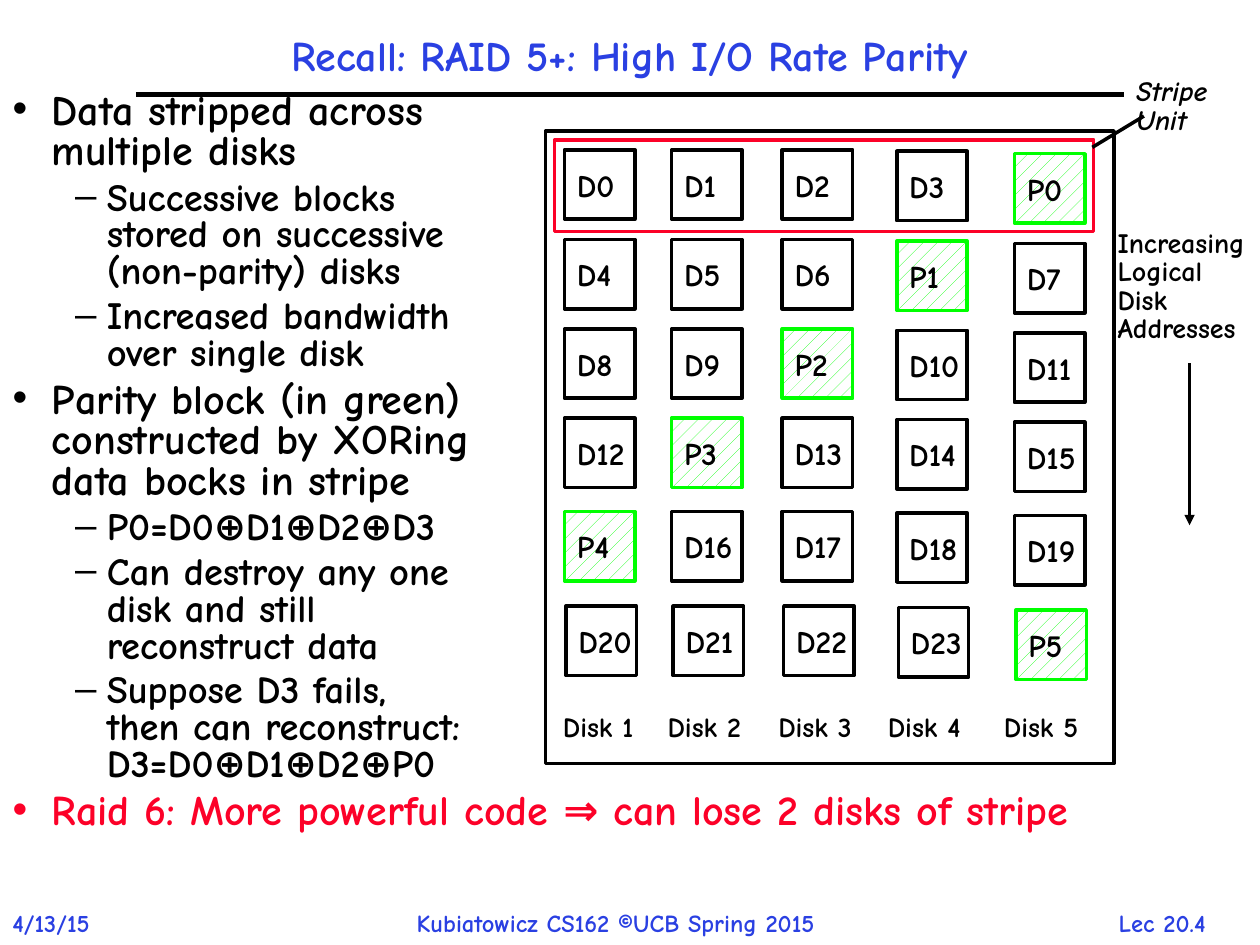
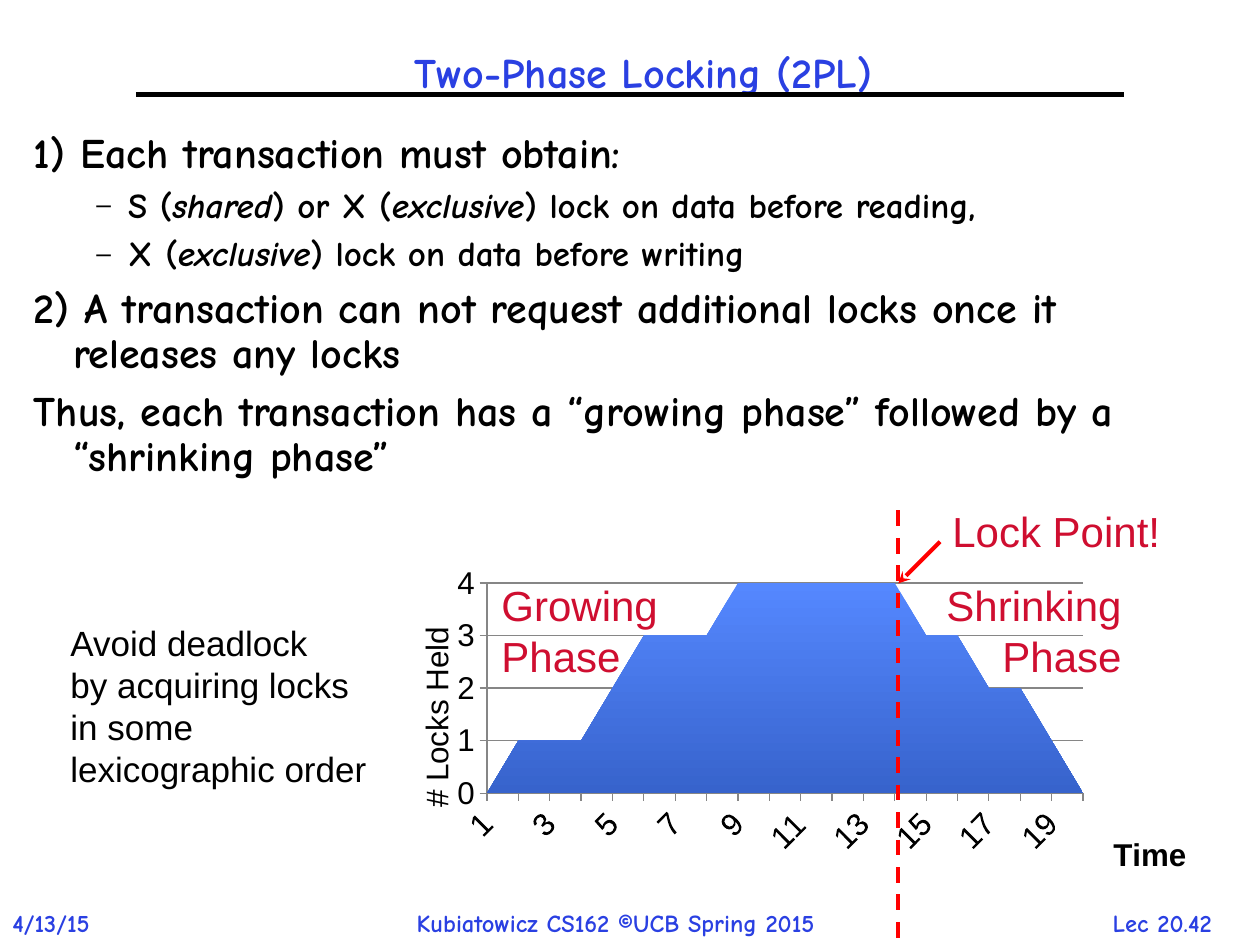
from copy import deepcopy

from lxml import etree
from pptx import Presentation
from pptx import util as u
from pptx.chart.data import CategoryChartData
from pptx.dml.color import RGBColor
from pptx.enum import chart as charts, dml, shapes, text
from pptx.oxml.ns import qn

BLUE = RGBColor(0x2A, 0x40, 0xE2)
BLACK = RGBColor(0, 0, 0)
WHITE = RGBColor(255, 255, 255)
RED = RGBColor(0xFC, 0x01, 0x28)
GREEN = RGBColor(0, 255, 0)
CRIMSON = RGBColor(0xCF, 0x0E, 0x30)
PURE_RED = RGBColor(255, 0, 0)
GRID_GREY = RGBColor(0x86, 0x86, 0x86)
AREA_TOP = RGBColor(0x55, 0x88, 0xFF)
AREA_BOTTOM = RGBColor(0x37, 0x63, 0xCC)
COMIC = "Comic Neue"
ARIAL = "Arial"
LEFT, CENTER, RIGHT = text.PP_ALIGN.LEFT, text.PP_ALIGN.CENTER, text.PP_ALIGN.RIGHT


def cm(*lengths):
    return [u.Cm(length) for length in lengths]


def sub(parent, tag, **attributes):
    return etree.SubElement(parent, qn(tag), attributes)


def style_font(font, size=18, color=BLACK, name=COMIC, bold=False, italic=False):
    font.size, font.name, font.bold, font.italic = u.Pt(size), name, bold, italic
    font.color.rgb = color


def write(paragraph, words, align=LEFT, spacing=None, italic=False, **font):
    """Asterisks switch italics; line feeds become line breaks."""
    paragraph.alignment = align
    if spacing:
        paragraph.line_spacing = spacing
    for part_number, part in enumerate(words.split("*")):
        for line_number, line in enumerate(part.split("\n")):
            if line_number:
                paragraph.add_line_break()
            run = paragraph.add_run()
            run.text = line
            style_font(run.font, italic=italic or part_number % 2 == 1, **font)
    for line_break in paragraph._p.findall(qn("a:br")):
        line_break.append(deepcopy(run._r.rPr))


def set_layout(parent, **numbers):
    for old in parent.findall(qn("c:layout")):
        parent.remove(old)
    layout = etree.Element(qn("c:layout"))
    manual = sub(layout, "c:manualLayout")
    if "w" in numbers:
        sub(manual, "c:layoutTarget", val="inner")
    sub(manual, "c:xMode", val="edge")
    sub(manual, "c:yMode", val="edge")
    for key, number in numbers.items():
        sub(manual, f"c:{key}", val=str(number))
    return layout


class Deck:
    def __init__(self):
        self.presentation = Presentation()
        self.presentation.slide_width, self.presentation.slide_height = cm(25.4, 19.05)
        self.slide = None

    def start(self, title, title_box, lecture):
        self.slide = self.presentation.slides.add_slide(self.presentation.slide_layouts[1])
        footer = dict(size=14, color=BLUE, bold=True)
        self.label((21.74, 18.19, 3.38, 0.84), [lecture], align=CENTER, **footer)
        self.label((0, 18.19, 2.54, 0.86), ["4/13/15"], **footer)
        self.label((8.15, 18.19, 9.83, 0.86), ["Kubiatowicz CS162 ©UCB Spring 2015"], **footer)
        self.line((2.74, 1.9, 22.66, 1.9), width=3)
        frame = self.fill_placeholder(self.slide.shapes.title, title_box)
        frame.vertical_anchor = text.MSO_ANCHOR.MIDDLE
        write(frame.paragraphs[0], title, align=CENTER, spacing=0.9, size=24, color=BLUE, bold=True)

    def fill_placeholder(self, shape, box):
        shape.left, shape.top, shape.width, shape.height = cm(*box)
        frame = shape.text_frame
        frame.word_wrap = True
        frame.auto_size = text.MSO_AUTO_SIZE.NONE
        return frame

    def body(self, box, items, bullets, sizes, spacing, gap, bullet_percent=100):
        frame = self.fill_placeholder(self.slide.placeholders[1], box)
        for number, (level, words, color) in enumerate(items):
            paragraph = frame.add_paragraph() if number else frame.paragraphs[0]
            paragraph.level = level
            properties = paragraph._p.get_or_add_pPr()
            margin, hanging = ((0.79, 0.79), (1.9, 0.64))[level]
            properties.set("marL", str(u.Cm(margin)))
            properties.set("indent", str(-u.Cm(hanging)))
            if bullets[level]:
                sub(properties, "a:buSzPct", val=str(bullet_percent * 1000))
                sub(properties, "a:buChar", char=bullets[level])
            else:
                sub(properties, "a:buNone")
            paragraph.space_before = u.Pt(gap * sizes[level] if number else 0)
            write(paragraph, words, spacing=spacing, size=sizes[level], color=color, bold=True)

    def label(self, box, lines, **style):
        frame = self.slide.shapes.add_textbox(*cm(*box)).text_frame
        frame.word_wrap = False
        frame.auto_size = text.MSO_AUTO_SIZE.SHAPE_TO_FIT_TEXT
        for number, words in enumerate(lines):
            write(frame.add_paragraph() if number else frame.paragraphs[0], words, **style)

    def rectangle(self, box, color=BLACK, words=None, patterned=False):
        shape = self.slide.shapes.add_shape(shapes.MSO_SHAPE.RECTANGLE, *cm(*box))
        shape.shadow.inherit = False
        shape.line.color.rgb, shape.line.width = color, u.Pt(2)
        if patterned:
            shape.fill.patterned()
            shape.fill.pattern = dml.MSO_PATTERN.PERCENT_10
            shape.fill.fore_color.rgb, shape.fill.back_color.rgb = GREEN, WHITE
        else:
            shape.fill.background()
        if words:
            frame = shape.text_frame
            frame.word_wrap = False
            frame.vertical_anchor = text.MSO_ANCHOR.MIDDLE
            write(frame.paragraphs[0], words, size=18, bold=True)

    def line(self, ends, color=BLACK, width=2, dashed=False, arrow=None):
        connector = self.slide.shapes.add_connector(shapes.MSO_CONNECTOR.STRAIGHT, *cm(*ends))
        connector.line.color.rgb, connector.line.width = color, u.Pt(width)
        if dashed:
            connector.line.dash_style = dml.MSO_LINE.DASH
        if arrow:
            sub(connector.line._get_or_add_ln(), "a:tailEnd", type=arrow)
        sub(connector._element.spPr, "a:effectLst")

    def area_chart(self, box, values, titles, plot):
        data = CategoryChartData()
        data.categories = [str(number + 1) for number in range(len(values))]
        data.add_series("Series 1", values)
        frame = self.slide.shapes.add_chart(charts.XL_CHART_TYPE.AREA, *cm(*box), data)
        chart = frame.chart
        chart.has_legend = chart.has_title = False
        style_font(chart.font, name=ARIAL)
        chart.plots[0].vary_by_categories = False
        fill = chart.plots[0].series[0].format.fill
        fill.gradient()
        fill.gradient_angle = 270
        for stop, color in zip(fill.gradient_stops, (AREA_TOP, AREA_BOTTOM)):
            stop.color.rgb = color

        category, value = chart.category_axis, chart.value_axis
        for axis, (words, bold, x, y) in zip((category, value), titles):
            axis.major_tick_mark = charts.XL_TICK_MARK.OUTSIDE
            axis.minor_tick_mark = charts.XL_TICK_MARK.NONE
            axis.format.line.color.rgb = GRID_GREY
            style_font(axis.tick_labels.font, name=ARIAL)
            write(axis.axis_title.text_frame.paragraphs[0], words, align=CENTER, name=ARIAL, bold=bold)
            title = axis.axis_title._element
            layout = set_layout(title, x=x, y=y)
            title.find(qn("c:tx")).addnext(layout)
        value.axis_title.text_frame._txBody.find(qn("a:bodyPr")).set("rot", "-5400000")
        value.minimum_scale, value.maximum_scale, value.major_unit = 0, 4, 1
        value.has_major_gridlines = True
        value.major_gridlines.format.line.color.rgb = GRID_GREY
        value._element.find(qn("c:crossBetween")).set("val", "midCat")
        category.has_major_gridlines = False
        category._element.find(qn("c:txPr")).find(qn("a:bodyPr")).set("rot", "-2700000")
        skip = etree.Element(qn("c:tickLblSkip"), val="2")
        category._element.find(qn("c:lblOffset")).addnext(skip)
        area = chart._chartSpace.chart.plotArea
        area.insert(0, set_layout(area, **plot))


def raid_slide(deck):
    deck.start("Recall: RAID 5+: High I/O Rate Parity", (2.74, 0.43, 19.89, 1.47), "Lec 20.4")
    deck.body((0, 1.75, 24.97, 16.94), [
        (0, "Data stripped across\nmultiple disks", BLACK),
        (1, "Successive blocks\nstored on successive\n(non-parity) disks", BLACK),
        (1, "Increased bandwidth\nover single disk", BLACK),
        (0, "Parity block (in green)\nconstructed by XORing\ndata bocks in stripe", BLACK),
        (1, "P0=D0⊕D1⊕D2⊕D3", BLACK),
        (1, "Can destroy any one\ndisk and still\nreconstruct data", BLACK),
        (1, "Suppose D3 fails,\nthen can reconstruct:\nD3=D0⊕D1⊕D2⊕P0", BLACK),
        (0, "Raid 6: More powerful code ⇒ can lose 2 disks of stripe", RED),
    ], bullets="•–", sizes=(24, 22), spacing=0.8, gap=0.2)

    note = dict(size=16, bold=True, spacing=0.85)
    deck.label((22.28, 4.52, 3.33, 2.57), ["Increasing", "Logical", "Disk", "Addresses"], **note)
    deck.line((23.98, 7.32, 23.98, 10.59), arrow="triangle")
    deck.rectangle((11.18, 2.82, 10.87, 1.85), RED)
    deck.line((22.02, 2.97, 23.06, 2.34))
    deck.label((22.66, 1.47, 2.21, 1.4), ["Stripe", "Unit"], italic=True, **note)
    deck.rectangle((11, 2.64, 11.46, 12.75))

    disk_lefts = (11.38, 13.54, 15.77, 18.08, 20.45)
    disk_drops = (0, 0, 0, 0.03, 0.08)
    stripe_tops = (3.02, 4.83, 6.63, 8.43, 10.31, 12.22)
    data_block = 0
    for stripe, top in enumerate(stripe_tops):
        parity_disk = (4 - stripe) % 5
        shift = 0.03 if stripe == 5 else 0
        for disk, (left, drop) in enumerate(zip(disk_lefts, disk_drops)):
            box = (left + shift, top + drop, 1.42, 1.4)
            if disk == parity_disk:
                deck.rectangle(box, GREEN, f"P{stripe}", patterned=True)
            else:
                deck.rectangle(box, BLACK, f"D{data_block}")
                data_block += 1
    for number, left in enumerate((11.1, 13.21, 15.44, 17.65, 19.99), 1):
        deck.label((left, 14.17, 2.24, 0.79), [f"Disk {number}"], size=16, bold=True)


def locking_slide(deck):
    deck.start("Two-Phase Locking (2PL)", (1.17, -0.15, 23.6, 3.33), "Lec 20.42")
    deck.body((0.43, 2.54, 24.13, 9.53), [
        (0, "1) Each transaction must obtain:", BLACK),
        (1, "S (*shared*) or X (*exclusive*) lock on data before reading,", BLACK),
        (1, "X (*exclusive*) lock on data before writing", BLACK),
        (0, "2) A transaction can not request additional locks once it releases any locks", BLACK),
        (0, "Thus, each transaction has a “growing phase” followed by a “shrinking phase”", BLACK),
    ], bullets=("", "–"), sizes=(24, 20), spacing=0.9, gap=0.3, bullet_percent=75)

    locks_held = (0, 1, 1, 1, 2, 3, 3, 3, 4, 4, 4, 4, 4, 4, 3, 3, 2, 2, 1, 0)
    deck.area_chart((7.95, 11.13, 16.08, 7.62), locks_held,
                    titles=(("Time", True, 0.9, 0.73), ("# Locks Held", False, 0.02, 0.18)),
                    plot=dict(x=0.117, y=0.082, w=0.752, h=0.556))
    deck.line((18.11, 10.29, 18.11, 19.05), PURE_RED, 2.25, dashed=True)
    callout = dict(size=24, color=CRIMSON, name=ARIAL)
    deck.label((9.86, 11.56, 3.68, 2.31), ["Growing", "Phase"], **callout)
    deck.label((18.77, 11.56, 4.09, 2.31), ["Shrinking", "Phase"], align=RIGHT, **callout)
    deck.line((18.95, 10.92, 18.11, 11.76), PURE_RED, 2.25, arrow="stealth")
    deck.label((18.95, 10.06, 4.75, 1.27), ["Lock Point!"], **callout)
    deck.label((1.17, 12.4, 6.53, 3.68),
               ["Avoid deadlock\nby acquiring locks\nin some\nlexicographic order"], size=20, name=ARIAL)


def main():
    deck = Deck()
    raid_slide(deck)
    locking_slide(deck)
    deck.presentation.save("out.pptx")


if __name__ == "__main__":
    main()
